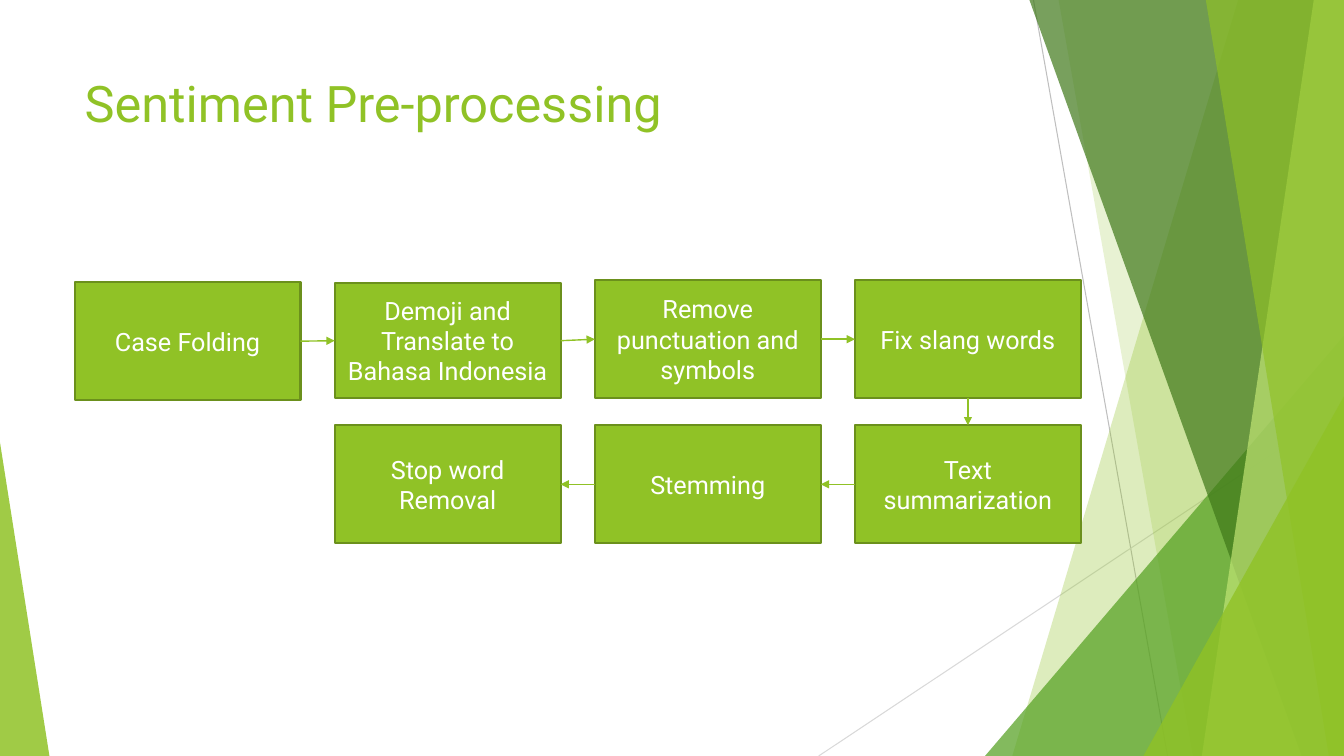
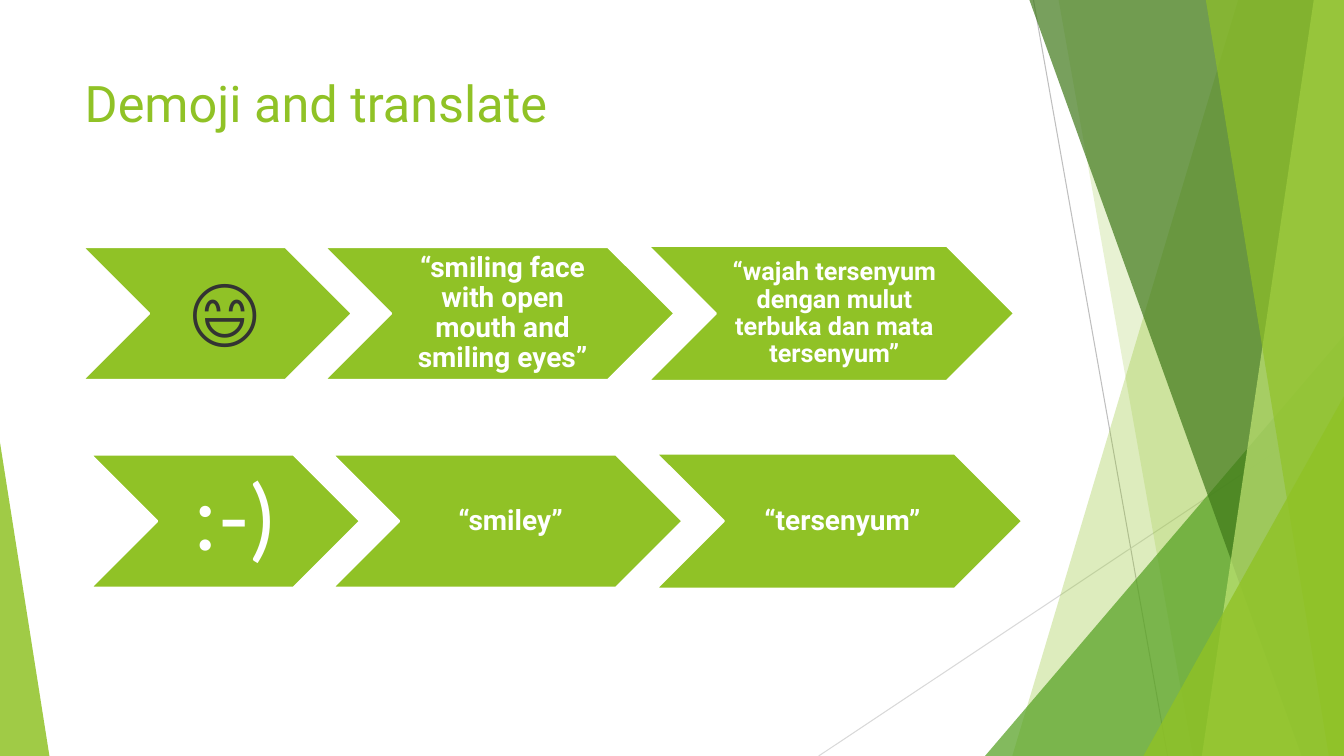
from dataclasses import dataclass
from itertools import pairwise

from lxml import etree
from pptx import Presentation
from pptx.dml.color import RGBColor
from pptx.enum.shapes import MSO_CONNECTOR, MSO_SHAPE
from pptx.enum.text import MSO_ANCHOR, MSO_AUTO_SIZE, PP_ALIGN
from pptx.oxml.ns import qn
from pptx.util import Inches, Pt


@dataclass(frozen=True)
class Theme:
    green: str = "90C226"
    leaf: str = "54A021"
    forest: str = "3F7819"
    lime: str = "C0E474"
    outline: str = "6B901C"
    white: str = "FFFFFF"
    dark: str = "333333"
    rule: str = "BFBFBF"
    pale_rule: str = "D9D9D9"
    font: str = "Roboto"
    symbol_font: str = "Lato"
    title_size: int = 36
    body_size: int = 18
    label_size: int = 20
    emoji_size: int = 54
    emoticon_size: int = 64


THEME = Theme()
WIDTH, HEIGHT = 13.33, 7.5
TOP, BOTTOM, LEFT, RIGHT = 0, 1, 2, 3
# Connection sites of a rectangle, counted anticlockwise from the top
SITES = {TOP: 0, LEFT: 1, BOTTOM: 2, RIGHT: 3}


def color(value):
    return RGBColor.from_string(value)


def paint(shape, fill, line=None, opacity=100):
    """Fill a shape, with opacity in percent, and outline it if a colour is given."""
    shape.shadow.inherit = False
    shape.fill.solid()
    shape.fill.fore_color.rgb = color(fill)
    if opacity < 100:
        rgb = shape.fill._xPr.find(f".//{qn('a:srgbClr')}")
        etree.SubElement(rgb, qn("a:alpha"), val=str(opacity * 1000))
    if line:
        shape.line.color.rgb = color(line)
        shape.line.width = Pt(1.5)
    else:
        shape.line.fill.background()


def set_font(paragraph, size, fill=THEME.white, name=THEME.font, bold=False):
    font = paragraph.font
    font.name, font.size, font.bold = name, Pt(size), bold
    font.color.rgb = color(fill)


def add_preset(slide, preset, left, top, width, height):
    return slide.shapes.add_shape(
        preset, Inches(left), Inches(top), Inches(width), Inches(height))


def add_line(slide, start, end, line, width):
    connector = slide.shapes.add_connector(
        MSO_CONNECTOR.STRAIGHT, *map(Inches, start), *map(Inches, end))
    connector.line.color.rgb = color(line)
    connector.line.width = Pt(width)
    etree.SubElement(connector._element.spPr, qn("a:effectLst"))
    return connector


def add_band(slide, top_left, bottom_left, fill, opacity):
    """Draw a full-height band that runs to the right edge of the slide."""
    corners = [(WIDTH, 0), (WIDTH, HEIGHT), (bottom_left, HEIGHT)]
    builder = slide.shapes.build_freeform(Inches(top_left), 0, scale=1.0)
    builder.add_line_segments(
        [(Inches(x), Inches(y)) for x, y in corners], close=True)
    paint(builder.convert_to_shape(), fill, opacity=opacity)


def add_triangle(slide, left, top, width, apex, fill, opacity):
    """Draw a triangle that stands on the bottom edge of the slide."""
    triangle = add_preset(slide, MSO_SHAPE.ISOSCELES_TRIANGLE,
                          left, top, width, HEIGHT - top)
    triangle.adjustments[0] = apex
    paint(triangle, fill, opacity=opacity)


def add_facets(slide):
    add_line(slide, (10.25, 0), (11.58, HEIGHT), THEME.rule, 0.75)
    add_line(slide, (WIDTH, 4.03), (8.12, HEIGHT), THEME.pale_rule, 0.75)
    add_band(slide, 12.28, 10.04, THEME.green, 30)
    add_band(slide, 10.5, 11.83, THEME.green, 20)
    add_triangle(slide, 9.77, 3.33, 3.56, 1, THEME.leaf, 72)
    add_band(slide, 10.21, 12.91, THEME.forest, 70)
    add_band(slide, 13.03, 11.92, THEME.lime, 70)
    add_band(slide, 11.96, 13.18, THEME.green, 65)
    add_triangle(slide, 11.34, 3.93, 1.99, 1, THEME.green, 80)
    add_triangle(slide, 0, 4.39, 0.49, 0, THEME.green, 85)


def move_facets_to_layout(slide):
    """Draw the facets on a slide, then hand them to its layout for all slides."""
    title_count = len(slide.shapes)
    add_facets(slide)
    tree = slide.slide_layout.shapes.element
    for index, shape in enumerate(list(slide.shapes)[title_count:]):
        tree.insert(2 + index, shape.element)


def add_titled_slide(presentation, text):
    slide = presentation.slides.add_slide(presentation.slide_layouts[5])
    title = slide.shapes.title
    title.left, title.top = Inches(0.74), Inches(0.67)
    title.width, title.height = Inches(9.4), Inches(1.44)
    frame = title.text_frame
    frame.text = text
    frame.auto_size = MSO_AUTO_SIZE.NONE
    frame.vertical_anchor = MSO_ANCHOR.TOP
    paragraph = frame.paragraphs[0]
    paragraph.alignment = PP_ALIGN.LEFT
    set_font(paragraph, THEME.title_size, THEME.green)
    return slide


def fill_centered(shape, text):
    """Put centred, wrapped text in a shape and return its paragraph."""
    frame = shape.text_frame
    frame.word_wrap = True
    frame.vertical_anchor = MSO_ANCHOR.MIDDLE
    frame.text = text
    paragraph = frame.paragraphs[0]
    paragraph.alignment = PP_ALIGN.CENTER
    return paragraph


def add_step(slide, text, column, top, height=1.17):
    step = add_preset(slide, MSO_SHAPE.FLOWCHART_PROCESS,
                      0.74 + 2.58 * column, top, 2.24, height)
    paint(step, THEME.green, THEME.outline)
    set_font(fill_centered(step, text), THEME.body_size)
    return step


def add_arrow(slide, source, target, source_side, target_side):
    arrow = add_line(slide, (0, 0), (0, 0), THEME.green, 1)
    arrow.begin_connect(source, SITES[source_side])
    arrow.end_connect(target, SITES[target_side])
    etree.SubElement(arrow.line._get_or_add_ln(), qn("a:tailEnd"), type="triangle")


def add_chevron(slide, left, middle, width, height, text, inset=0.03, **font):
    """Draw a chevron around a middle line, with its text between the two points."""
    top, point = middle - height / 2, height / 2
    chevron = add_preset(slide, MSO_SHAPE.CHEVRON, left, top, width, height)
    paint(chevron, THEME.green, THEME.white)
    label = slide.shapes.add_textbox(
        Inches(left + point), Inches(top), Inches(width - height), Inches(height))
    frame = label.text_frame
    frame.margin_left = Inches(3 * inset)
    frame.margin_right = frame.margin_top = frame.margin_bottom = Inches(inset)
    paragraph = fill_centered(label, text)
    paragraph.line_spacing = 0.9
    set_font(paragraph, **font)


def add_preprocessing(presentation):
    slide = add_titled_slide(presentation, "Sentiment Pre-processing")
    move_facets_to_layout(slide)
    steps = [add_step(slide, *step) for step in (
        ("Case Folding", 0, 2.8),
        ("Demoji and Translate to Bahasa Indonesia", 1, 2.81, 1.14),
        ("Remove punctuation and symbols", 2, 2.78),
        ("Fix slang words", 3, 2.78),
        ("Text summarization", 3, 4.22),
        ("Stemming", 2, 4.22),
        ("Stop word Removal", 1, 4.22),
    )]
    sides = [(RIGHT, LEFT)] * 3 + [(BOTTOM, TOP)] + [(LEFT, RIGHT)] * 2
    for (source, target), ends in zip(pairwise(steps), sides):
        add_arrow(slide, source, target, *ends)


def add_translation(presentation):
    slide = add_titled_slide(presentation, "Demoji and translate")
    label = {"size": THEME.label_size, "bold": True}
    small_label = {"size": THEME.body_size, "bold": True}
    emoji = {"size": THEME.emoji_size, "fill": THEME.dark,
             "name": THEME.symbol_font, "inset": 0.08}
    emoticon = {"size": THEME.emoticon_size,
                "name": THEME.symbol_font, "inset": 0.09}
    columns = [(0, 2.67, 1.32), (2.4, 3.47, 1.32), (5.61, 3.63, 1.34)]
    rows = [
        (0.82, 3.11, [
            ("😄", emoji),
            ("“smiling face with open mouth and smiling eyes”", label),
            ("“wajah tersenyum dengan mulut terbuka dan mata tersenyum”",
             small_label)]),
        (0.9, 5.17, [
            (":-)", emoticon), ("“smiley”", label), ("“tersenyum”", label)]),
    ]
    for left, middle, cells in rows:
        for (offset, width, height), (text, style) in zip(columns, cells):
            add_chevron(slide, left + offset, middle, width, height, text, **style)


def main():
    presentation = Presentation()
    presentation.slide_width = Inches(WIDTH)
    presentation.slide_height = Inches(HEIGHT)
    add_preprocessing(presentation)
    add_translation(presentation)
    presentation.save("out.pptx")


if __name__ == "__main__":
    main()
